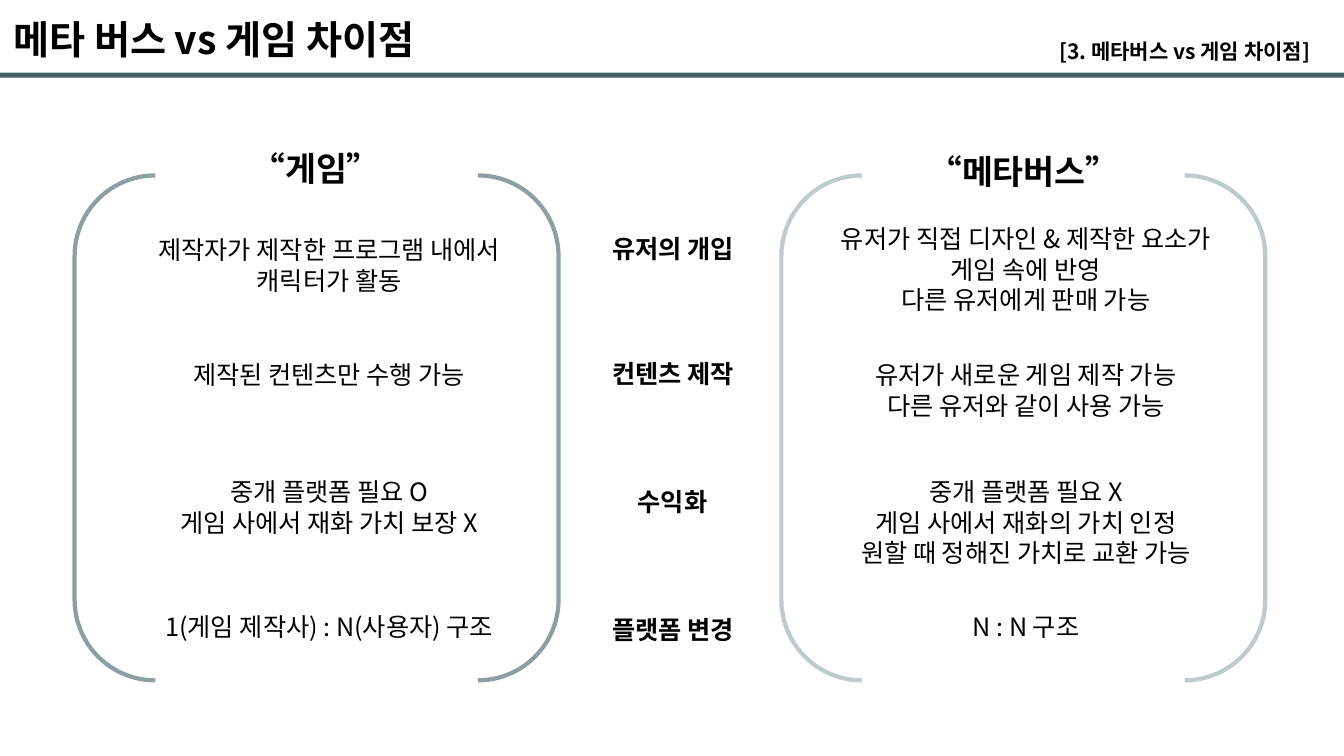
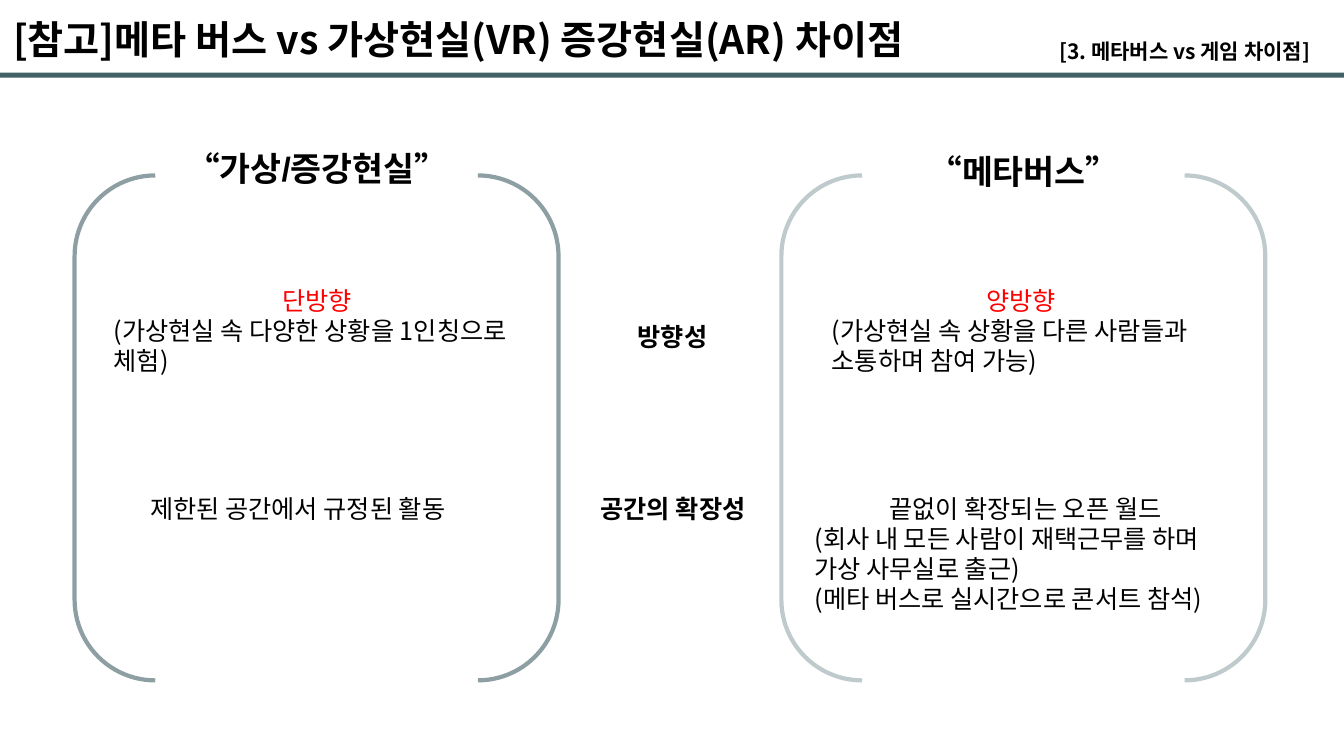
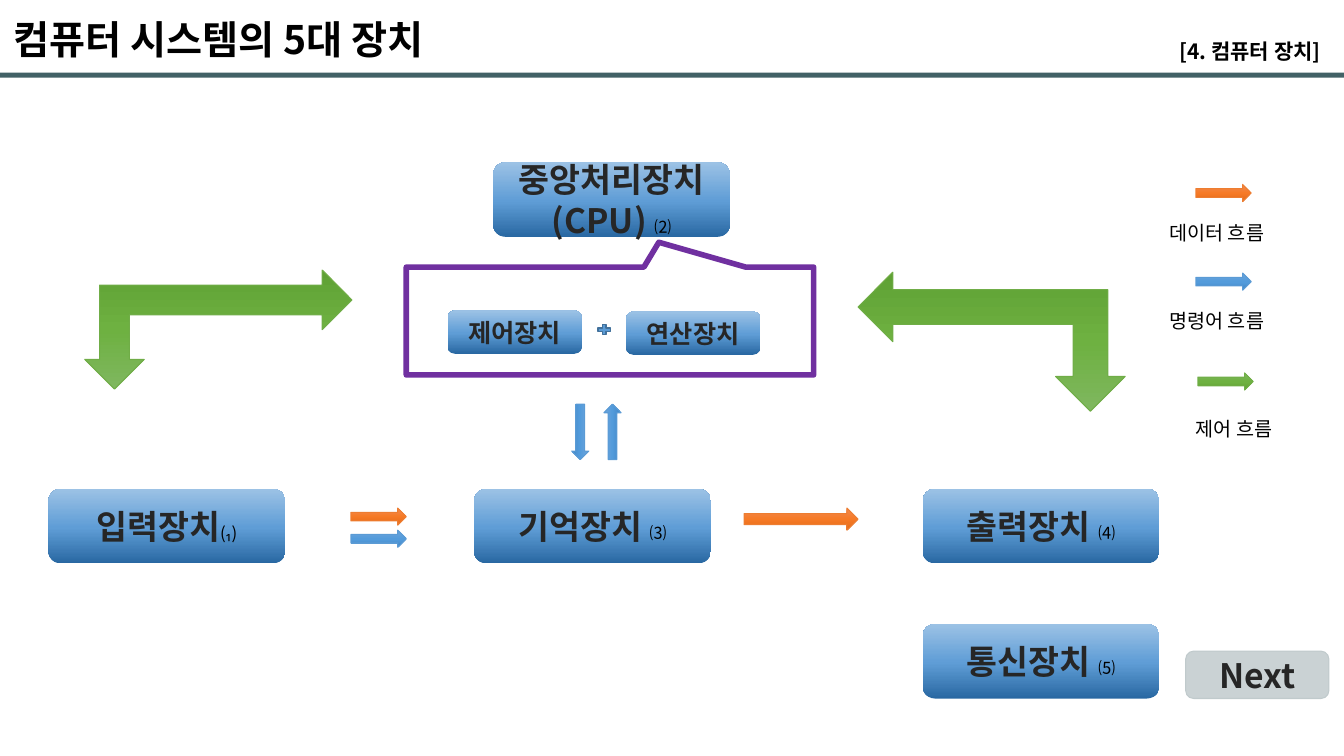
from copy import deepcopy

from lxml.etree import SubElement
from pptx import Presentation
from pptx.dml.color import RGBColor
from pptx.enum.shapes import MSO_SHAPE as Shape
from pptx.enum.text import MSO_ANCHOR as Anchor, MSO_AUTO_SIZE as AutoSize, PP_ALIGN as Align
from pptx.oxml.ns import qn
from pptx.util import Pt

SCALE = 9144
FONT = "Noto Sans CJK KR"
COLORS = {
    "black": "000000", "text": "262626", "red": "FF0000", "teal": "1C4148",
    "purple": "7030A0", "plus": "5B9BD5", "plus_edge": "42719B",
    "button": "CAD2D4", "button_edge": "C0CACC",
    "data_edge": "ED7D31", "command_edge": "5B9BD5", "control_edge": "70AD47",
}
DEVICE_FILL = (270, [(0, "2968A2"), (0.48, "5F9DD6"), (1, "9CC2E5")])
FLOW_FILLS = {
    "data": (90, [(0, "F08B54"), (0.5, "F67A26"), (1, "E36A18")]),
    "command": (90, [(0, "70A5DA"), (0.5, "539BDB"), (1, "4288C8")]),
    "control": (90, [(0, "7FB75F"), (0.5, "6EB141"), (1, "5FA134")]),
}
LEFT, CENTER = Align.LEFT, Align.CENTER
LINE_HEIGHT, LINE_PADDING = 30, 10
BRACKETS = [(775, 28), (74, 50)]
BRACKET_TOP, BRACKET_WIDTH, BRACKET_HEIGHT = 174, 480, 501
LABEL_CENTER = 667
GAME_TAG = ("[3. 메타버스 vs 게임 차이점]", 1041, 293)
DEVICE_TAG = ("[4. 컴퓨터 장치]", 1160, 173)

COMPARISONS = [
    {
        "title": ("메타 버스 vs 게임 차이점", 468),
        "heading_font": FONT,
        "headings": [(237, 142, 153, "“게임”"), (897, 145, 237, "“메타버스”")],
        "labels": [
            (227, 155, "유저의 개입"), (351, 155, "컨텐츠 제작"),
            (478, 96, "수익화"), (605, 155, "플랫폼 변경"),
        ],
        "texts": [
            (126, 228, 401, 2, [("제작자가 제작한 프로그램 내에서 캐릭터가 활동", CENTER, "black")]),
            (126, 352, 401, 1, [("제작된 컨텐츠만 수행 가능", CENTER, "black")]),
            (126, 468, 401, 2, [("중개 플랫폼 필요 O", CENTER, "black"),
                                ("게임 사에서 재화 가치 보장 X", CENTER, "black")]),
            (126, 602, 401, 1, [("1(게임 제작사) : N(사용자) 구조", CENTER, "black")]),
            (817, 217, 401, 3, [("유저가 직접 디자인 & 제작한 요소가 게임 속에 반영", CENTER, "black"),
                                ("다른 유저에게 판매 가능", CENTER, "black")]),
            (817, 352, 401, 2, [("유저가 새로운 게임 제작 가능", CENTER, "black"),
                                ("다른 유저와 같이 사용 가능", CENTER, "black")]),
            (817, 468, 401, 3, [("중개 플랫폼 필요 X", CENTER, "black"),
                                ("게임 사에서 재화의 가치 인정", CENTER, "black"),
                                ("원할 때 정해진 가치로 교환 가능", CENTER, "black")]),
            (817, 602, 401, 1, [("N : N 구조", CENTER, "black")]),
        ],
    },
    {
        "title": ("[참고]메타 버스 vs 가상현실(VR) 증강현실(AR) 차이점", 999),
        "heading_font": "Arial",
        "headings": [(142, 142, 345, "“가상/증강현실”"), (897, 145, 237, "“메타버스”")],
        "labels": [(314, 96, "방향성"), (484, 181, "공간의 확장성")],
        "texts": [
            (103, 278, 423, 3, [("단방향", CENTER, "red"),
                                ("(가상현실 속 다양한 상황을 1인칭으로 체험)", LEFT, "black")]),
            (139, 484, 350, 1, [("제한된 공간에서 규정된 활동", LEFT, "black")]),
            (815, 278, 401, 3, [("양방향 ", CENTER, "red"),
                                ("(가상현실 속 상황을 다른 사람들과 소통하며 참여 가능)", LEFT, "black")]),
            (798, 484, 438, 4, [("끝없이 확장되는 오픈 월드", CENTER, "black"),
                                ("(회사 내 모든 사람이 재택근무를 하며 가상 사무실로 출근)", LEFT, "black"),
                                ("(메타 버스로 실시간으로 콘서트 참석)", LEFT, "black")]),
        ],
    },
]

DEVICE_TITLE = ("컴퓨터 시스템의 5대 장치", 477)
DEVICES = [
    (489, 161, "중앙처리장치(CPU) ", "⑵"),
    (48, 485, "입력장치", "(₁)"),
    (470, 485, "기억장치 ", "⑶"),
    (915, 485, "출력장치 ", "⑷"),
    (915, 619, "통신장치 ", "⑸"),
]
UNITS = [(444, 308, "제어장치"), (621, 309, "연산장치")]
ARROWS = [
    (580, 420, 55, 17, 270, "command"), (548, 420, 55, 17, 90, "command"),
    (348, 526, 55, 17, 0, "command"), (348, 504, 55, 17, 0, "data"),
    (738, 504, 113, 22, 0, "data"),
]
CONTROL_ARROWS = [(84, 268, 265, 118, False), (851, 270, 265, 138, True)]
LEGEND = [
    (1186, 183, 1150, 214, "data", "데이터 흐름"),
    (1186, 271, 1150, 302, "command", "명령어 흐름"),
    (1188, 370, 1176, 409, "control", "제어 흐름"),
]


def px(*lengths):
    return [length * SCALE for length in lengths]


def rgb(name):
    return RGBColor.from_string(COLORS[name])


def set_alpha(parent, percent):
    color = parent.find(".//" + qn("a:srgbClr"))
    SubElement(color, qn("a:alpha"), val=str(percent * 1000))


def style_span(span, size, color="black", bold=False, font=FONT):
    span.font.size = Pt(size)
    span.font.bold = bold
    span.font.name = font
    span.font.color.rgb = rgb(color)
    SubElement(span.font._element, qn("a:ea"), typeface=FONT)


def add_text(page, left, top, width, height, lines, size, bold=False, font=FONT):
    box = page.shapes.add_textbox(*px(left, top, width, height))
    frame = box.text_frame
    frame.word_wrap = True
    frame.text = "\n".join(text for text, _, _ in lines)
    for para, (_, align, color) in zip(frame.paragraphs, lines):
        para.alignment = align
        style_span(para.runs[0], size, color, bold, font)


def fill_gradient(shape, angle, stops):
    shape.fill.gradient()
    shape.fill.gradient_angle = 360 - angle
    stop_list = shape._element.spPr.find(".//" + qn("a:gsLst"))
    stop_list.append(deepcopy(stop_list[0]))
    for stop, (position, color) in zip(shape.fill.gradient_stops, stops):
        stop.position = position
        stop.color.rgb = RGBColor.from_string(color)


def add_shape(page, kind, left, top, width, height, fill=None, edge=None, weight=0.75):
    shape = page.shapes.add_shape(kind, *px(left, top, width, height))
    shape.shadow.inherit = False
    if isinstance(fill, tuple):
        fill_gradient(shape, *fill)
    elif fill:
        shape.fill.solid()
        shape.fill.fore_color.rgb = rgb(fill)
    else:
        shape.fill.background()
    if edge:
        shape.line.color.rgb = rgb(edge)
        shape.line.width = Pt(weight)
    else:
        shape.line.fill.background()
    return shape


def add_box(page, left, top, width, height, text, size, number="", fill=DEVICE_FILL, edge=None):
    box = add_shape(page, Shape.FLOWCHART_ALTERNATE_PROCESS, left, top, width, height, fill, edge)
    para = box.text_frame.paragraphs[0]
    para.text = text
    para.alignment = CENTER
    style_span(para.runs[0], size, "text", True)
    if number:
        span = para.add_run()
        span.text = number
        style_span(span, 12)


def add_flow(page, kind, left, top, width, height, flow, rotation=0):
    arrow = add_shape(page, kind, left, top, width, height, FLOW_FILLS[flow], flow + "_edge")
    arrow.rotation = rotation
    return arrow


def add_page(deck, title, tag):
    page = deck.slides.add_slide(deck.slide_layouts[5])
    band = add_shape(page, Shape.RECTANGLE, 0, 72, 1333, 5, "teal")
    set_alpha(band._element.spPr, 83)
    text, width = title
    heading = page.shapes.title
    heading.left, heading.top, heading.width, heading.height = px(3, 10, width, 57)
    frame = heading.text_frame
    frame.text = text
    frame.auto_size = AutoSize.NONE
    frame.vertical_anchor = Anchor.TOP
    frame.paragraphs[0].alignment = LEFT
    style_span(frame.paragraphs[0].runs[0], 28, bold=True)
    tag_text, left, tag_width = tag
    add_text(page, left, 33, tag_width, 35, [(tag_text, LEFT, "black")], 15, True)
    return page


def add_comparison(deck, content):
    page = add_page(deck, content["title"], GAME_TAG)
    for left, opacity in BRACKETS:
        bracket = add_shape(page, Shape.DOUBLE_BRACKET, left, BRACKET_TOP,
                            BRACKET_WIDTH, BRACKET_HEIGHT, edge="teal", weight=3)
        set_alpha(bracket.line._ln, opacity)
    for left, top, width, text in content["headings"]:
        add_text(page, left, top, width, 50, [(text, CENTER, "black")], 24, True,
                 content["heading_font"])
    for top, width, text in content["labels"]:
        add_text(page, LABEL_CENTER - width // 2, top, width, LINE_HEIGHT + LINE_PADDING,
                 [(text, CENTER, "black")], 18, True)
    for left, top, width, count, lines in content["texts"]:
        add_text(page, left, top, width, count * LINE_HEIGHT + LINE_PADDING, lines, 18)


def add_devices(deck):
    page = add_page(deck, DEVICE_TITLE, DEVICE_TAG)
    for left, top, text, number in DEVICES:
        add_box(page, left, top, 235, 74, text, 24, number)
    for left, top, text in UNITS:
        add_box(page, left, top, 133, 43, text, 18)
    for left, top, width, height, rotation, flow in ARROWS:
        add_flow(page, Shape.RIGHT_ARROW, left, top, width, height, flow, rotation)
    for left, top, width, height, flipped in CONTROL_ARROWS:
        arrow = add_flow(page, Shape.LEFT_UP_ARROW, left, top, width, height, "control", 180)
        if flipped:
            arrow._element.spPr.xfrm.set("flipH", "1")
    for left, top, text_left, text_top, flow, text in LEGEND:
        add_flow(page, Shape.RIGHT_ARROW, left, top, 55, 17, flow)
        add_text(page, text_left, text_top, 132, 34, [(text, LEFT, "black")], 14)
    plus = add_shape(page, Shape.MATH_PLUS, 591, 320, 17, 14, "plus", "plus_edge", 1)
    plus.adjustments[0] = 0.24
    callout = add_shape(page, Shape.RECTANGULAR_CALLOUT, 403, 265, 404, 107,
                        edge="purple", weight=4)
    callout.adjustments[0] = 0.12
    callout.adjustments[1] = -0.73
    add_box(page, 1176, 646, 142, 47, "Next", 24, fill="button", edge="button_edge")


def main():
    deck = Presentation()
    deck.slide_width, deck.slide_height = px(1333, 750)
    for content in COMPARISONS:
        add_comparison(deck, content)
    add_devices(deck)
    deck.save("out.pptx")


if __name__ == "__main__":
    main()
